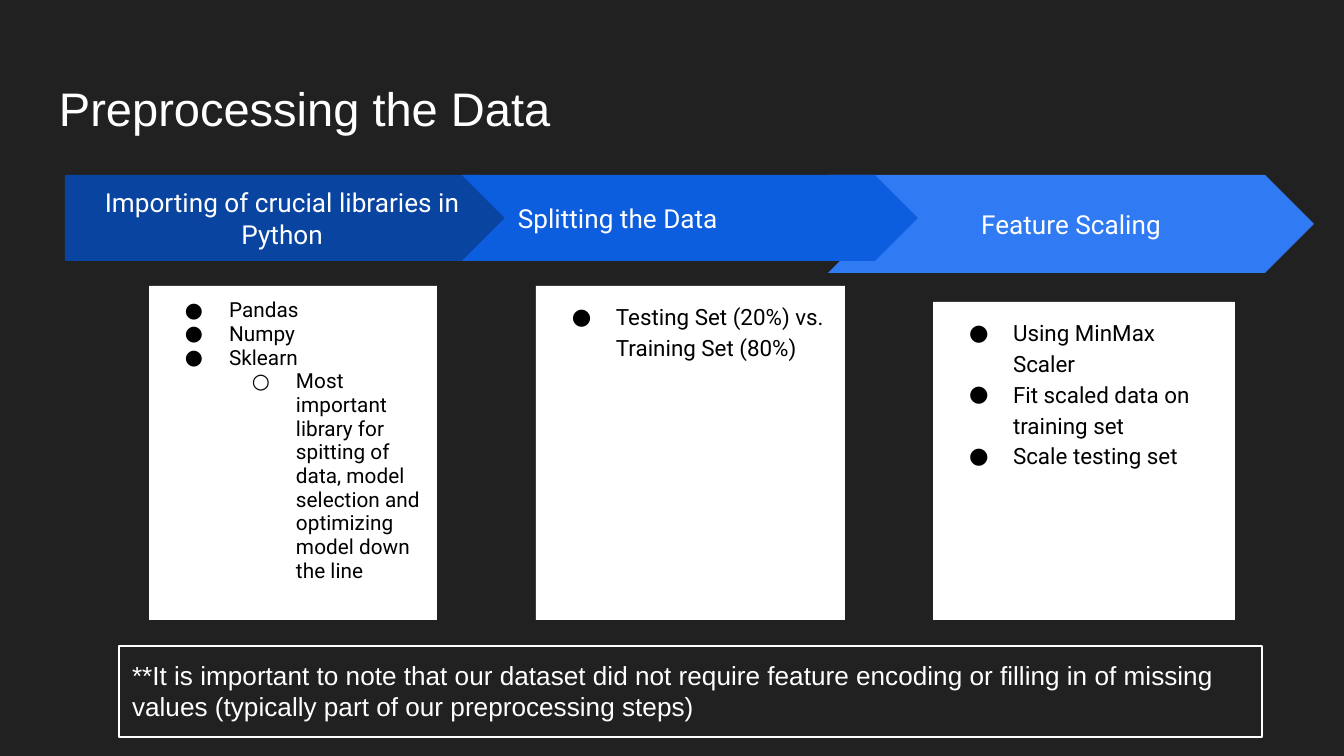
from lxml import etree
from pptx import Presentation
from pptx import util as u
from pptx.dml.color import RGBColor
from pptx.enum import shapes, text
from pptx.oxml.ns import qn

PX = 914400 / 134.4
COLORS = {
    "background": "212121",
    "white": "FFFFFF",
    "black": "000000",
    "navy": "0944A1",
    "blue": "0D5DDF",
    "sky": "307BF3",
}
BULLETS = "●○"
SHAPE = shapes.MSO_SHAPE
LEFT, CENTER = text.PP_ALIGN.LEFT, text.PP_ALIGN.CENTER
TOP, MIDDLE = text.MSO_ANCHOR.TOP, text.MSO_ANCHOR.MIDDLE


def px(n):
    return u.Emu(round(n * PX))


def rgb(name):
    return RGBColor.from_string(COLORS[name])


class Deck:
    margin = 13
    indent, hanging = 67, 44

    def __init__(self, width, height):
        self.prs = Presentation()
        self.prs.slide_width, self.prs.slide_height = px(width), px(height)
        self.slide = None

    def new_slide(self):
        self.slide = self.prs.slides.add_slide(self.prs.slide_layouts[5])
        fill = self.slide.background.fill
        fill.solid()
        fill.fore_color.rgb = rgb("background")

    def frame(self, sp, anchor):
        tf = sp.text_frame
        tf.word_wrap = True
        tf.vertical_anchor = anchor
        tf.margin_left = tf.margin_right = px(self.margin)
        tf.margin_top = tf.margin_bottom = px(self.margin)
        return tf

    def run(self, p, words, size, font, color, align=LEFT):
        p.alignment = align
        r = p.add_run()
        r.text = words
        r.font.size, r.font.name = u.Pt(size), font
        r.font.color.rgb = rgb(color)

    def title(self, box, words):
        sp = self.slide.shapes.title
        sp.left, sp.top, sp.width, sp.height = map(px, box)
        tf = self.frame(sp, TOP)
        tf.auto_size = text.MSO_AUTO_SIZE.NONE
        self.run(tf.paragraphs[0], words, 25.2, "Arial", "white")

    def shape(self, parent, kind, box, fill=None):
        sp = parent.shapes.add_shape(kind, *map(px, box))
        sp.shadow.inherit = False
        if fill:
            sp.fill.solid()
            sp.fill.fore_color.rgb = rgb(fill)
        else:
            sp.fill.background()
        sp.line.fill.background()
        return sp

    def arrow(self, group, kind, box, fill, words, align):
        sp = self.shape(group, kind, box, fill)
        sp.adjustments[0] = 0.5
        p = self.frame(sp, MIDDLE).paragraphs[0]
        self.run(p, words, 14, "Roboto", "white", align)

    def bullet(self, p, level):
        p.level = level
        pPr = p._p.get_or_add_pPr()
        pPr.set("marL", str(px(self.indent * (level + 1))))
        pPr.set("indent", str(-px(self.hanging)))
        color = etree.SubElement(pPr, qn("a:buClr"))
        etree.SubElement(color, qn("a:srgbClr"), val=COLORS["black"])
        etree.SubElement(pPr, qn("a:buFont"), typeface="Roboto")
        etree.SubElement(pPr, qn("a:buChar"), char=BULLETS[level])

    def card(self, group, box, items, size, spacing):
        """White box with a bulleted list of (level, words) items."""
        tf = self.frame(self.shape(group, SHAPE.RECTANGLE, box, "white"), TOP)
        for i, (level, words) in enumerate(items):
            p = tf.add_paragraph() if i else tf.paragraphs[0]
            self.bullet(p, level)
            p.line_spacing = spacing
            self.run(p, words, size, "Roboto", "black")

    def step(self, kind, arrow_box, fill, words, align, card_box, items, size, spacing):
        group = self.slide.shapes.add_group_shape()
        self.arrow(group, kind, arrow_box, fill, words, align)
        self.card(group, card_box, items, size, spacing)

    def note(self, box, words):
        sp = self.shape(self.slide, SHAPE.RECTANGLE, box)
        sp.line.color.rgb = rgb("white")
        sp.line.width = u.Pt(0.75)
        tf = self.frame(sp, TOP)
        tf.auto_size = text.MSO_AUTO_SIZE.SHAPE_TO_FIT_TEXT
        self.run(tf.paragraphs[0], words, 14, "Arial", "white")


def main():
    deck = Deck(1344, 756)
    deck.new_slide()
    deck.title((46, 66, 1253, 85), "Preprocessing the Data")
    deck.step(
        SHAPE.CHEVRON, (828, 175, 486, 98), "sky", "Feature Scaling", CENTER,
        (933, 302, 302, 318),
        [(0, "Using MinMax Scaler"),
         (0, "Fit scaled data on training set"),
         (0, "Scale testing set")],
        12, 1.15)
    deck.step(
        SHAPE.PENTAGON, (65, 175, 456, 86), "navy",
        "Importing of crucial libraries in Python", CENTER,
        (149, 286, 288, 334),
        [(0, "Pandas"), (0, "Numpy"), (0, "Sklearn"),
         (1, "Most important library for spitting of data, model selection "
             "and optimizing model down the line")],
        11.1, 0.95)
    deck.step(
        SHAPE.CHEVRON, (462, 175, 456, 86), "blue", "Splitting the Data", LEFT,
        (536, 286, 309, 334),
        [(0, "Testing Set (20%) vs. Training Set (80%)")],
        12, 1.15)
    deck.note(
        (119, 646, 1143, 91),
        "**It is important to note that our dataset did not require feature "
        "encoding or filling in of missing values (typically part of our "
        "preprocessing steps)")
    deck.prs.save("out.pptx")


if __name__ == "__main__":
    main()
